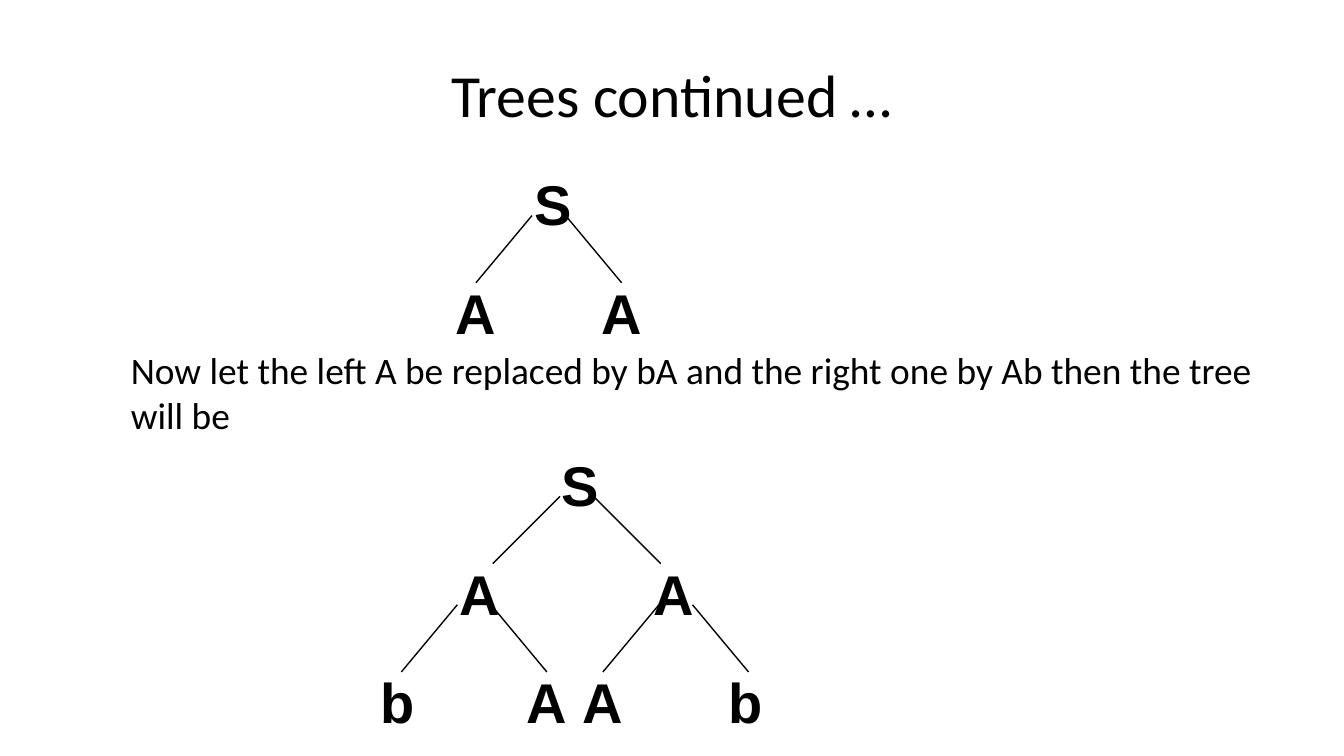
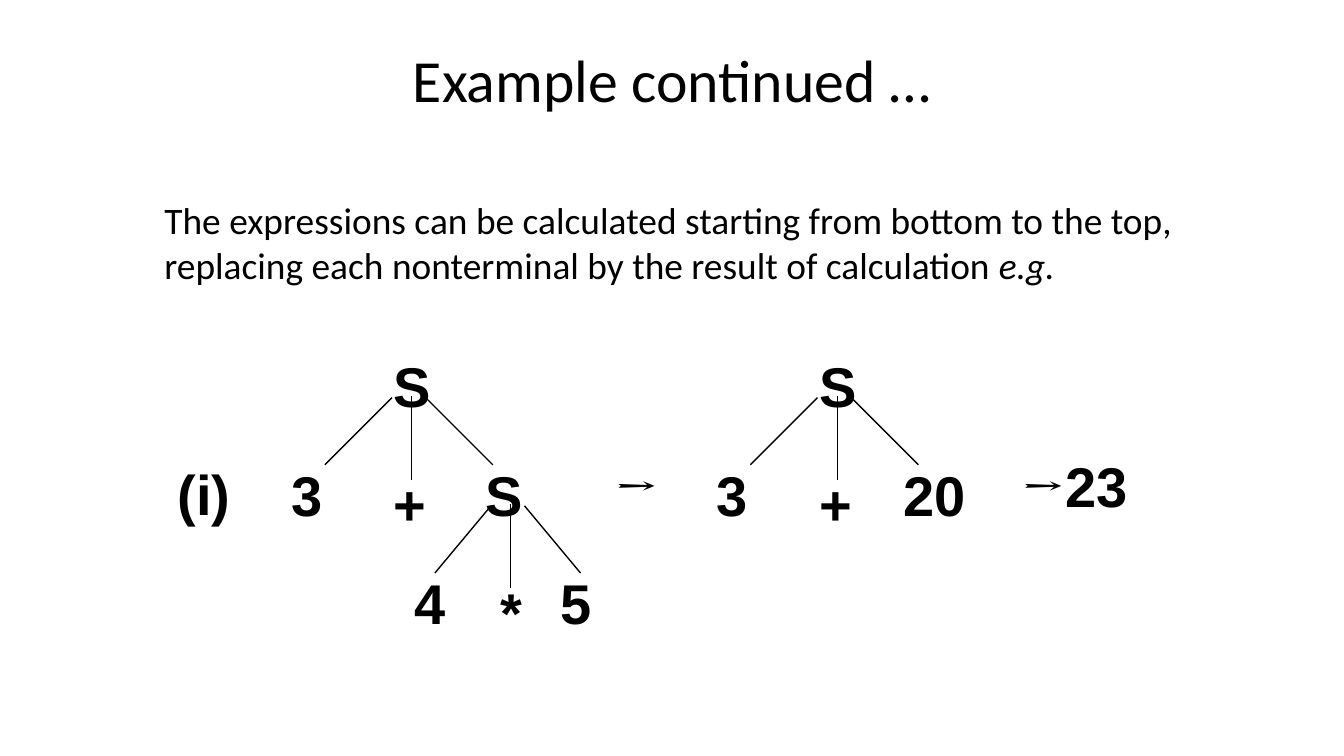
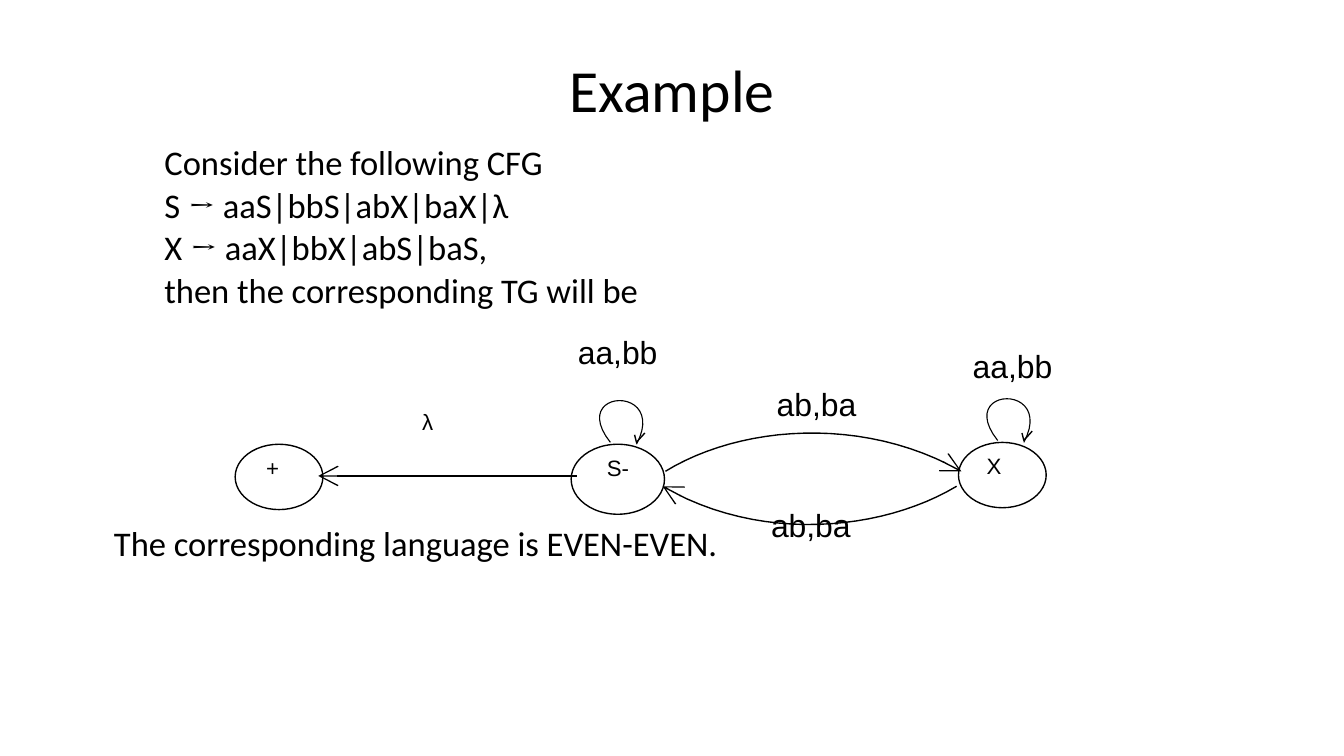
from dataclasses import dataclass
from typing import Any

from lxml.etree import SubElement as Sub
from pptx import Presentation
from pptx.dml.color import RGBColor
from pptx.enum.shapes import MSO_CONNECTOR as Conn, MSO_SHAPE as Kind
from pptx.enum.text import MSO_ANCHOR as Anchor, PP_ALIGN as Align
from pptx.oxml.ns import qn
from pptx.util import Pt

BLACK = RGBColor(0, 0, 0)
WHITE = RGBColor(255, 255, 255)
HEAD = {"name": "Calibri", "size": Pt(32), "bold": False}
BODY = {"name": "Calibri", "size": Pt(20)}
RULE = {"name": "Calibri", "size": Pt(18.5)}
NODE = {"name": "Arial", "size": Pt(30), "bold": True}
EDGE = {"name": "Arial", "size": Pt(17.1)}
STATE = {"name": "Arial", "size": Pt(11.9)}
ARROW = {"name": "Cambria"}
TIGHT = {"line_spacing": 0.8}
STEPS = 24


@dataclass
class Node:
    """A tree node; pull moves its letter and skew moves its arms."""
    text: str
    left: Any = None
    right: Any = None
    mid: Any = None
    spread: float = 30
    skew: float = 0
    pull: float = 0


def apply(target, fmt):
    """Set each format value on the target."""
    for key, value in fmt.items():
        setattr(target, key, value)


def place(shape, box):
    """Move and size a shape in points."""
    apply(shape, dict(zip(("left", "top", "width", "height"), map(Pt, box))))


def write(slide, box, lines, font, para=None, gap=0):
    """Add a text box; each line is a list of (text, format) runs."""
    shape = slide.shapes.add_textbox(*map(Pt, box))
    frame = shape.text_frame
    frame.word_wrap = True
    for i, runs in enumerate(lines):
        line = frame.paragraphs[0] if i == 0 else frame.add_paragraph()
        apply(line, {**(para or {}), "space_before": Pt(gap if i else 0)})
        for text, extra in runs:
            run = line.add_run()
            run.text = text
            apply(run.font, {**font, **extra})
            run.font.color.rgb = BLACK


def label(slide, x, y, text, font, size, para=None):
    """Add a single-run label."""
    write(slide, (x, y, *size), [[(text, {})]], font, para)


def pen(shape, width=0.75, arrow=False):
    """Draw a black outline, with an open arrowhead at the end if asked."""
    shape.line.color.rgb = BLACK
    shape.line.width = Pt(width)
    if arrow:
        line = shape.line._get_or_add_ln()
        Sub(line, qn("a:tailEnd"), type="arrow", w="lg", len="lg")


def stroke(slide, x1, y1, x2, y2, arrow=False):
    """Add a straight line without shadow."""
    line = slide.shapes.add_connector(Conn.STRAIGHT, *map(Pt, (x1, y1, x2, y2)))
    pen(line, arrow=arrow)
    Sub(line._element.spPr, qn("a:effectLst"))


def trace(slide, x, y, points, width=0.75, arrow=False):
    """Add an open outline through points relative to x, y."""
    first, *rest = [(Pt(x + a), Pt(y + b)) for a, b in points]
    build = slide.shapes.build_freeform(*first)
    build.add_line_segments(rest, close=False)
    shape = build.convert_to_shape()
    shape.shadow.inherit = False
    shape.fill.background()
    pen(shape, width, arrow)


def curve(a, b, c, d):
    """Return points along a cubic curve."""
    points = []
    for i in range(STEPS + 1):
        t = i / STEPS
        u = 1 - t
        parts = (u ** 3, 3 * u * u * t, 3 * u * t * t, t ** 3)
        points.append([sum(k * p[n] for k, p in zip(parts, (a, b, c, d)))
                       for n in (0, 1)])
    return points


def tree(slide, x, y, node):
    """Draw a node at x, y and its children below it."""
    label(slide, x + node.pull, y, node.text, NODE, (66, 43))
    for child, side, start in ((node.left, -1, 6), (node.right, 1, 24)):
        if child:
            arm = x + start + node.skew
            end = arm + side * node.spread
            stroke(slide, arm, y + 28, end, y + 64)
            splay = 7 if node.spread > 30 else 0
            tree(slide, end - 18 + side * splay, y + 58, child)
    if node.mid:
        stem = x + 16.5 + node.skew
        stroke(slide, stem, y + 27, stem, y + 72)
        tree(slide, x, y + 63, node.mid)


def titled(deck, text, box):
    """Add a slide with a centred title."""
    slide = deck.slides.add_slide(deck.slide_layouts[5])
    title = slide.shapes.title
    place(title, box)
    frame = title.text_frame
    frame.text = text
    frame.vertical_anchor = Anchor.MIDDLE
    line = frame.paragraphs[0]
    line.alignment = Align.CENTER
    apply(line.font, HEAD)
    line.font.color.rgb = BLACK
    return slide


def state(slide, x, y, size, text, inset, loop):
    """Draw a state with its name and an optional loop above it."""
    oval = slide.shapes.add_shape(Kind.OVAL, *map(Pt, (x, y, *size)))
    oval.shadow.inherit = False
    oval.fill.solid()
    oval.fill.fore_color.rgb = WHITE
    pen(oval)
    label(slide, x + inset, y + 4.5, text, STATE, (73, 23), TIGHT)
    if loop:
        trace(slide, x, y, curve((21, -1), (-2, -30), (52, -32), (35, 0)), 0.6)
        trace(slide, x, y, [(34, -5), (35, -1), (39.5, -6)])


def graph(slide, x, y):
    """Draw the transition graph from its top left corner."""
    for dx, dy, size, text, inset, loop in (
            (0, 60, (47, 35), "+", 9.5, False),
            (180, 60, (50, 37.5), "S-", 12, True),
            (387.5, 59, (47, 35), "X", 8, True)):
        state(slide, x + dx, y + dy, size, text, inset, loop)
    stroke(slide, x + 183, y + 77, x + 44.5, y + 77, True)
    for ends in (((230.5, 74.5), (270.5, 50), (336, 44.5), (389, 74.5)),
                 ((386.5, 82.5), (346.5, 106.5), (281, 113), (229, 82.5))):
        trace(slide, x, y, curve(*ends), arrow=True)
    for dx, dy, text in ((176.5, 0.5, "aa,bb"), (388, 8, "aa,bb"),
                         (283, 28.5, "ab,ba"), (280, 93.5, "ab,ba")):
        label(slide, x + dx, y + dy, text, EDGE, (83, 28), TIGHT)
    label(slide, x + 93, y + 40, "λ", STATE, (73, 23), TIGHT)


def trees(deck):
    """Build the slide with two derivation trees."""
    slide = titled(deck, "Trees continued …", (36, 16.5, 648, 67.5))
    tree(slide, 279, 87.5, Node("S", Node("A"), Node("A")))
    label(slide, 63, 182.5, "Now let the left A be replaced by bA and the "
          "right one by Ab then the tree will be", BODY, (621, 56))
    tree(slide, 294, 238, Node("S", Node("A", Node("b"), Node("A")),
                               Node("A", Node("A"), Node("b"), skew=4),
                               spread=36))


def sums(deck):
    """Build the slide that evaluates an expression tree."""
    slide = titled(deck, "Example continued …", (54, 8.5, 612, 67.5))
    write(slide, (81, 102, 585, 56), [[
        ("The expressions can be calculated starting from bottom to the top, "
         "replacing each nonterminal by the result of calculation ", {}),
        ("e.g.", {"italic": True})]], BODY)
    inner = Node("S", Node("4"), Node("5"), Node("*", pull=8), skew=4)
    for x, right in ((204, inner), (432, Node("20", pull=-4))):
        tree(slide, x, 185, Node("S", Node("3"), right, Node("+"), spread=36))
    for x, y, runs in ((88, 242.5, [("(i)", {})]),
                       (322, 238.5, [("→", ARROW)]),
                       (540, 238.5, [("→", ARROW), ("23", {})])):
        write(slide, (x, y, 96, 43), [runs], NODE)


def grammar(deck):
    """Build the slide with a grammar and its transition graph."""
    slide = titled(deck, "Example", (54, 13.5, 612, 67.5))
    lines = [[("Consider the following CFG", {})]]
    for name, rest in (("S ", " aaS|bbS|abX|baX|λ"), ("X ", " aaX|bbX|abS|baS,")):
        lines.append([(name, {}), ("→", ARROW), (rest, {})])
    lines.append([("then the corresponding TG will be", {})])
    write(slide, (81, 76.5, 585, 96), lines, RULE, TIGHT, 5)
    label(slide, 54, 280.5, "The corresponding language is EVEN-EVEN.", RULE,
          (612, 26), TIGHT)
    graph(slide, 126, 178)


def main():
    """Build and save the deck."""
    deck = Presentation()
    apply(deck, {"slide_width": Pt(720), "slide_height": Pt(405)})
    for build in (trees, sums, grammar):
        build(deck)
    deck.save("out.pptx")


if __name__ == "__main__":
    main()
